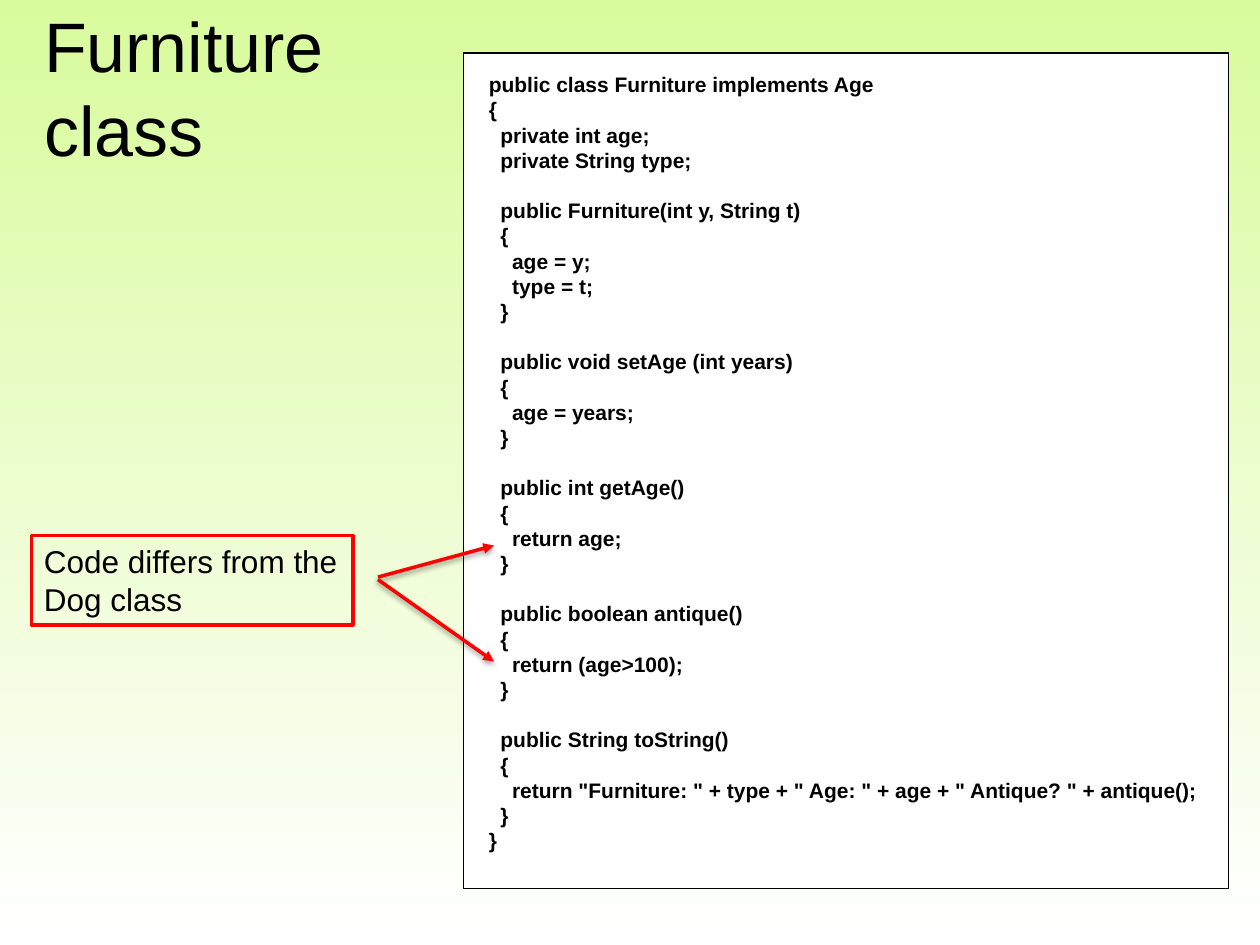
"""Build the Furniture class slide with its code listing and callout."""
import pptx
import pptx.dml.color
import pptx.enum.shapes
import pptx.enum.text
import pptx.oxml
import pptx.oxml.ns
import pptx.util

Inches, Pt = pptx.util.Inches, pptx.util.Pt
RGB = pptx.dml.color.RGBColor.from_string
AUTO = pptx.enum.text.MSO_AUTO_SIZE
ANCHOR = pptx.enum.text.MSO_ANCHOR
LEFT = pptx.enum.text.PP_ALIGN.LEFT
RECT = pptx.enum.shapes.MSO_SHAPE.RECTANGLE
STRAIGHT = pptx.enum.shapes.MSO_CONNECTOR.STRAIGHT
NS = pptx.oxml.ns.nsdecls("a")
COLORS = {"text": "000000", "panel": "FFFFFF", "accent": "FF0000",
          "top": "D9FB9D", "bottom": "FFFFFF"}

CODE = """public class Furniture implements Age
{
  private int age;
  private String type;
  
  public Furniture(int y, String t)
  {
    age = y;
    type = t;
  }
  
  public void setAge (int years)
  {
    age = years;
  }
  
  public int getAge()
  {
    return age;
  }
  
  public boolean antique()
  {
    return (age>100);
  }
  
  public String toString()
  {
    return "Furniture: " + type + " Age: " + age + " Antique? " + antique();
  }
}"""
CALLOUT = "Code differs from the\nDog class"


def add_run(p, text, size, bold=False):
    r = p.add_run()
    r.text = text
    r.font.name = "Arial"
    r.font.size = Pt(size)
    r.font.bold = bold
    r.font.color.rgb = RGB(COLORS["text"])


def add_box(s, box, text, size, line, width, bold=False):
    sp = s.shapes.add_shape(RECT, *(Inches(v) for v in box))
    sp.shadow.inherit = False
    sp.fill.background()
    sp.line.color.rgb = RGB(COLORS[line])
    sp.line.width = Pt(width)
    tf = sp.text_frame
    tf.auto_size = AUTO.SHAPE_TO_FIT_TEXT
    tf.vertical_anchor = ANCHOR.TOP
    for i, row in enumerate(text.split("\n")):
        p = tf.add_paragraph() if i else tf.paragraphs[0]
        p.alignment = LEFT
        add_run(p, row, size, bold)
    return sp


prs = pptx.Presentation()
prs.slide_width, prs.slide_height = Inches(10), Inches(7.5)
s = prs.slides.add_slide(prs.slide_layouts[5])

bg = s.background.fill
bg.gradient()
bg.gradient_angle = 270
for stop, name in zip(bg.gradient_stops, ("top", "bottom")):
    stop.color.rgb = RGB(COLORS[name])

title = s.shapes.title
title.left, title.top = Inches(0.25), Inches(0.3)
title.width, title.height = Inches(9.5), Inches(0.78)
tf = title.text_frame
tf.auto_size = AUTO.NONE
tf.vertical_anchor = ANCHOR.MIDDLE
p = tf.paragraphs[0]
p.alignment = LEFT
add_run(p, "Furniture", 40)
p.add_line_break()
add_run(p, "class", 40)

listing = add_box(s, (3.68, 0.42, 6.07, 6.63), CODE, 12, "text", 0.75, True)
listing.fill.solid()
listing.fill.fore_color.rgb = RGB(COLORS["panel"])
tf = listing.text_frame
tf.margin_left = tf.margin_right = Inches(0.2)
tf.margin_top = tf.margin_bottom = Inches(0.15)

callout = add_box(s, (0.25, 4.25, 2.55, 0.71), CALLOUT, 18, "accent", 2.25)
callout.text_frame.word_wrap = False

for y1, y2 in ((4.58, 4.33), (4.6, 5.25)):
    arrow = s.shapes.add_connector(STRAIGHT, Inches(3), Inches(y1), Inches(3.92), Inches(y2))
    arrow.line.color.rgb = RGB(COLORS["accent"])
    arrow.line.width = Pt(2)
    arrow.line._get_or_add_ln().append(pptx.oxml.parse_xml(f'<a:tailEnd {NS} type="triangle"/>'))
    arrow._element.spPr.append(pptx.oxml.parse_xml(
        f'<a:effectLst {NS}><a:outerShdw blurRad="40000" dist="20000" dir="5400000" rotWithShape="0">'
        f'<a:srgbClr val="{COLORS["text"]}"><a:alpha val="38000"/></a:srgbClr>'
        '</a:outerShdw></a:effectLst>'))

prs.save("out.pptx")
